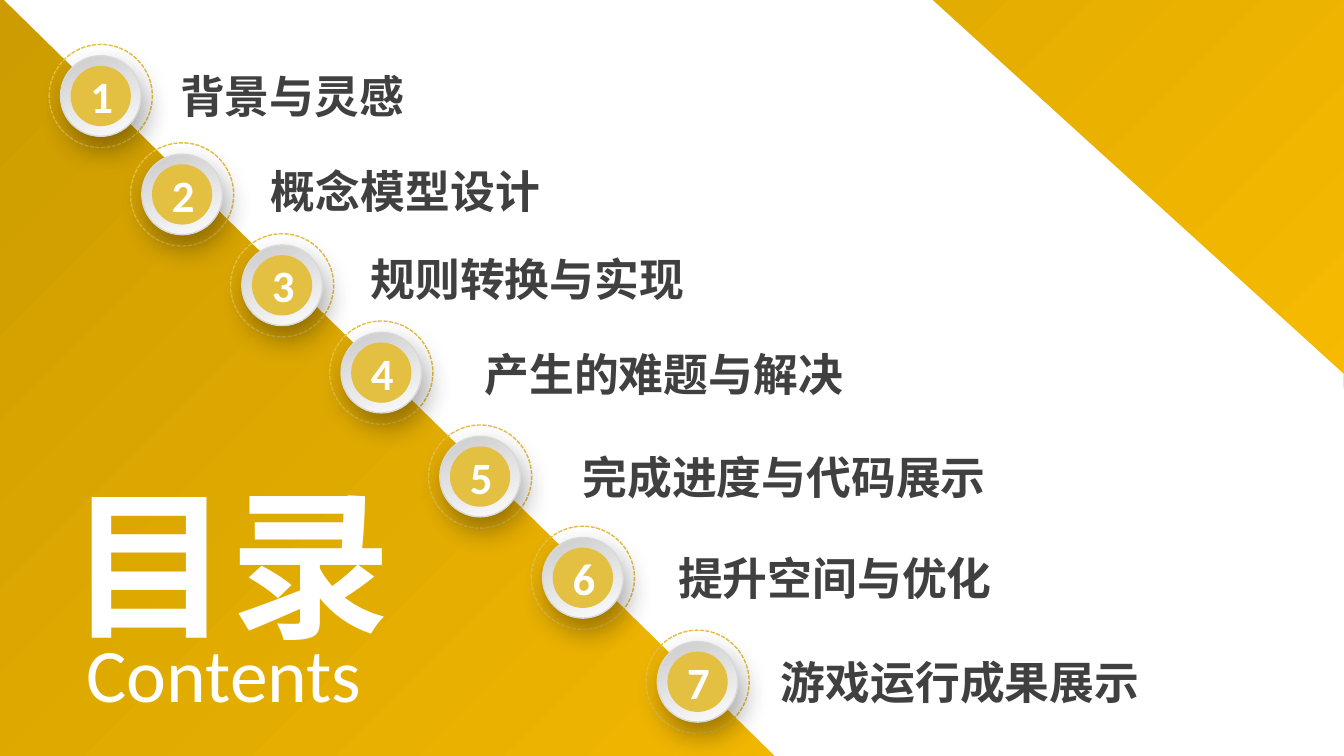
from pptx import Presentation
from pptx.dml.color import RGBColor
from pptx.enum.dml import MSO_LINE_DASH_STYLE as Dash
from pptx.enum.shapes import MSO_SHAPE as Shape
from pptx.enum.text import MSO_ANCHOR as Anchor, MSO_AUTO_SIZE as AutoSize, PP_ALIGN as Align
from pptx.oxml import parse_xml
from pptx.oxml.ns import nsdecls, qn
from pptx.util import Cm, Pt

WHITE = RGBColor(0xFF, 0xFF, 0xFF)
AMBER = RGBColor(0xFF, 0xC0, 0x00)
DARK_AMBER = RGBColor(0xCC, 0x9C, 0x00)
GOLD = RGBColor(0xE3, 0xBF, 0x42)
RIM_DARK = RGBColor(0xCC, 0xCC, 0xCC)
RIM_LIGHT = RGBColor(0xFC, 0xFC, 0xFC)
RIM_LINE = RGBColor(0xD9, 0xD9, 0xD9)
CHARCOAL = RGBColor(0x40, 0x40, 0x40)

WIDTH, HEIGHT = 33.87, 19.05
LABEL_HEIGHT = 1.63

# Center of each badge, then left, top and width of its label (cm)
CHAPTERS = [
    ("背景与灵感", (2.54, 2.42), (4.29, 1.6, 9.09)),
    ("概念模型设计", (4.59, 4.9), (6.58, 3.99, 10.97)),
    ("规则转换与实现", (7.11, 7.19), (9.09, 6.2, 13.84)),
    ("产生的难题与解决", (9.61, 9.39), (11.96, 8.59, 15.42)),
    ("完成进度与代码展示", (12.1, 12.01), (14.43, 11.2, 16.92)),
    ("提升空间与优化", (14.69, 14.56), (16.84, 13.74, 14.02)),
    ("游戏运行成果展示", (17.58, 17.18), (19.43, 16.36, 13.92)),
]
WHITE_AREA = [(23.5, 0), (33.86, 9.42), (33.99, 19.25), (19.63, 19.15), (-0.1, -0.2)]


class ContentsSlide:
    latin_font = "Calibri"
    chinese_font = "Noto Sans CJK SC"

    def __init__(self, presentation):
        self.slide = presentation.slides.add_slide(presentation.slide_layouts[6])
        self.shapes = self.slide.shapes

    def paint(self, shape, fill=None, line=None, line_width=1):
        shape.shadow.inherit = False
        if fill is None:
            shape.fill.background()
        elif isinstance(fill, RGBColor):
            shape.fill.solid()
            shape.fill.fore_color.rgb = fill
        else:
            shape.fill.gradient()
            for stop, color in zip(shape.fill.gradient_stops, fill):
                stop.color.rgb = color
        if line is None:
            shape.line.fill.background()
        else:
            shape.line.color.rgb = line
            shape.line.width = Pt(line_width)

    def set_text(self, shape, text, size, color, font, bold=False, align=Align.LEFT, wrap=True):
        frame = shape.text_frame
        frame.word_wrap = wrap
        frame.auto_size = AutoSize.SHAPE_TO_FIT_TEXT
        paragraph = frame.paragraphs[0]
        paragraph.text = text
        paragraph.alignment = align
        paragraph.font.size = Pt(size)
        paragraph.font.bold = bold
        paragraph.font.color.rgb = color
        paragraph.font.name = font
        properties = paragraph._p.pPr.find(qn("a:defRPr"))
        properties.append(parse_xml(f'<a:ea {nsdecls("a")} typeface="{font}"/>'))

    def text(self, left, top, width, height, text, size, parent=None, **style):
        box = (parent or self.shapes).add_textbox(Cm(left), Cm(top), Cm(width), Cm(height))
        self.set_text(box, text, size, WHITE, **style)

    def backdrop(self):
        shape = self.shapes.add_shape(Shape.RECTANGLE, 0, 0, Cm(WIDTH), Cm(HEIGHT))
        self.paint(shape, (AMBER, DARK_AMBER))
        # Radial gradient centered on the bottom right corner
        gradient = shape._element.spPr.find(qn("a:gradFill"))
        gradient.replace(gradient.find(qn("a:lin")), parse_xml(
            f'<a:path {nsdecls("a")} path="circle"><a:fillToRect l="100000" t="100000"/></a:path>'))

    def polygon(self, points, fill):
        start, *rest = [(Cm(x), Cm(y)) for x, y in points]
        builder = self.shapes.build_freeform(*start)
        builder.add_line_segments(rest)
        self.paint(builder.convert_to_shape(), fill)

    def circle(self, parent, center, diameter, **style):
        left, top = (Cm(value - diameter / 2) for value in center)
        shape = parent.add_shape(Shape.OVAL, left, top, Cm(diameter), Cm(diameter))
        self.paint(shape, **style)
        return shape

    def badge(self, number, center):
        parent = self.shapes.add_group_shape().shapes
        ring = self.circle(parent, center, 2.6, line=GOLD)
        ring.line.dash_style = Dash.SQUARE_DOT
        rim = self.circle(parent, center, 2.03, fill=(RIM_DARK, RIM_LIGHT), line=RIM_LINE)
        rim.fill.gradient_angle = 290
        self.drop_shadow(rim)
        self.circle(parent, center, 1.52, fill=GOLD)
        x, y = center
        self.text(x - 0.51, y - 0.81, 1.09, 1.63, str(number), 32, parent,
                  font=self.latin_font, bold=True, wrap=False)

    def drop_shadow(self, shape):
        effects = shape._element.spPr.find(qn("a:effectLst"))
        effects.append(parse_xml(
            f'<a:outerShdw {nsdecls("a")} blurRad="{Pt(20)}" dist="{Pt(10)}" dir="4200000" '
            'algn="tl" rotWithShape="0"><a:srgbClr val="000000"><a:alpha val="34000"/>'
            '</a:srgbClr></a:outerShdw>'))

    def label(self, text, left, top, width):
        shape = self.shapes.add_shape(
            Shape.RECTANGLE, Cm(left), Cm(top), Cm(width), Cm(LABEL_HEIGHT))
        self.paint(shape, WHITE, WHITE, 0.75)
        shape.text_frame.vertical_anchor = Anchor.MIDDLE
        self.set_text(shape, text, 32, CHARCOAL, self.chinese_font, bold=True, align=Align.JUSTIFY)


def main():
    presentation = Presentation()
    presentation.slide_width, presentation.slide_height = Cm(WIDTH), Cm(HEIGHT)
    contents = ContentsSlide(presentation)

    # Background
    contents.backdrop()
    contents.polygon(WHITE_AREA, WHITE)

    # Title
    contents.text(0.56, 11.58, 10.52, 5.18, "目录", 115,
                  font=contents.chinese_font, bold=True, align=Align.CENTER)
    contents.text(1.93, 15.67, 7.52, 2.57, "Contents", 54, font=contents.latin_font, wrap=False)

    # Chapters along the diagonal
    for number, (text, center, place) in enumerate(CHAPTERS, start=1):
        contents.badge(number, center)
        contents.label(text, *place)

    presentation.save("out.pptx")


if __name__ == "__main__":
    main()
